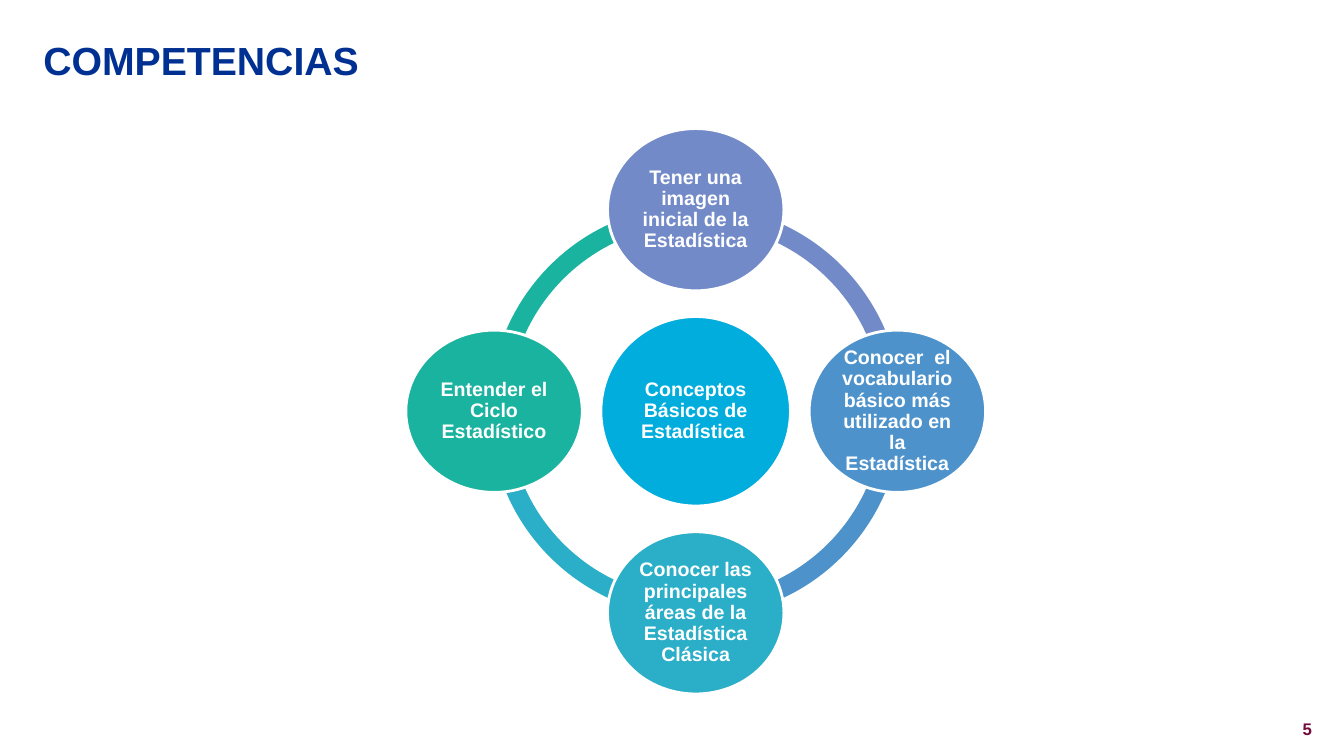
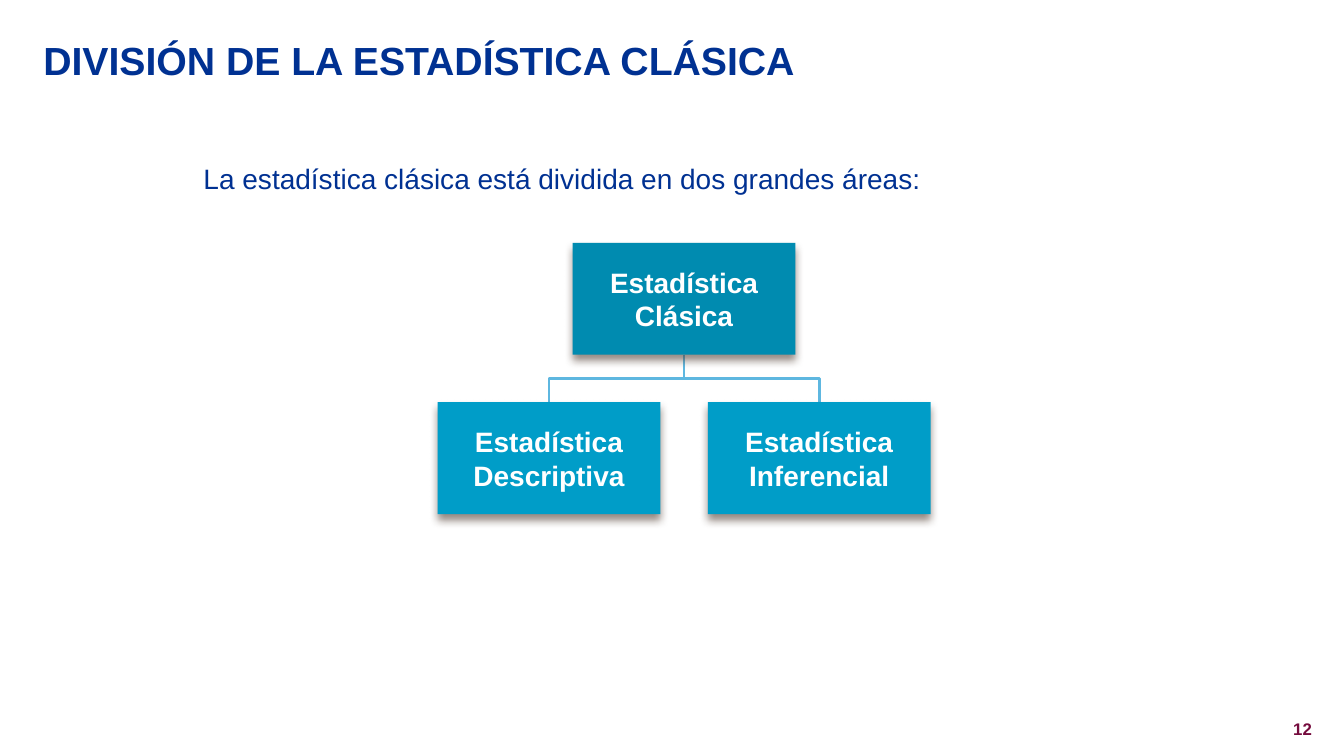
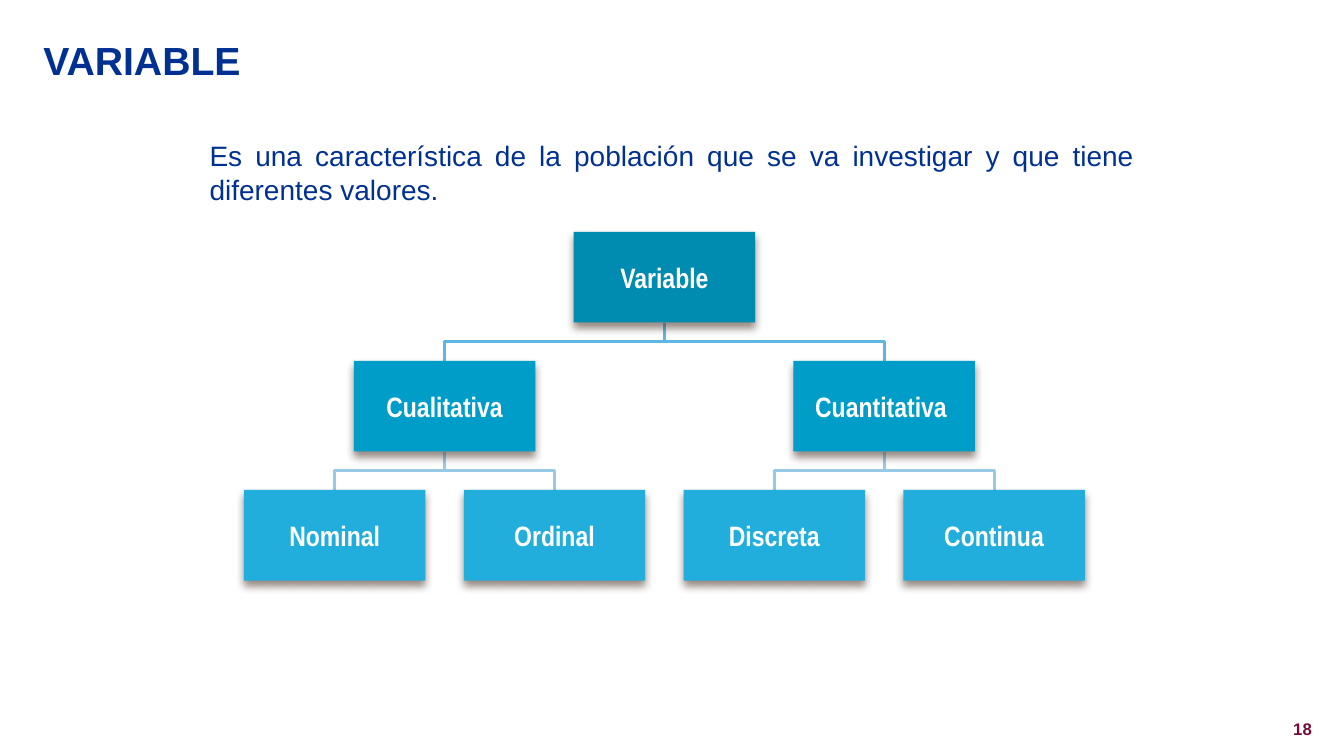
from pptx import Presentation
from pptx import util as u
from pptx.dml.color import RGBColor
from pptx.enum import shapes, text
from pptx.oxml import parse_xml
from pptx.oxml.ns import nsdecls

COLORS = {
    "title": "003192", "number": "750B3D", "white": "FFFFFF", "shadow": "4E3B30",
    "center": "00ADDC", "violet": "738AC8", "blue": "4D92CA",
    "cyan": "2BAEC7", "green": "1AB39F",
}
LEVEL_FILLS = ["008BB0", "009DC8", "22AEDC"]
LINK_COLORS = ["5EB7E0", "97CAE7"]
ALIGN = text.PP_ALIGN
TITLE_ONLY = 5


def rgb(color):
    return RGBColor.from_string(COLORS.get(color, color))


def inches(*lengths):
    return [u.Inches(length) for length in lengths]


# Text
def write(shape, words, size, color, bold=False, align=ALIGN.LEFT, font="Arial",
          anchor=text.MSO_ANCHOR.TOP, inset=None, line_spacing=None):
    frame = shape.text_frame
    frame.word_wrap = True
    frame.auto_size = text.MSO_AUTO_SIZE.NONE
    frame.vertical_anchor = anchor
    if inset is not None:
        frame.margin_left = frame.margin_right = u.Inches(inset)
        frame.margin_top = frame.margin_bottom = u.Inches(inset)
    paragraph = frame.paragraphs[0]
    paragraph.text = words
    paragraph.alignment = align
    if line_spacing:
        paragraph.line_spacing = line_spacing
    paragraph.font.name = font
    paragraph.font.size = u.Pt(size)
    paragraph.font.bold = bold
    paragraph.font.color.rgb = rgb(color)


def add_text(slide, box, words, size, color, **style):
    write(slide.shapes.add_textbox(*inches(*box)), words, size, color, **style)


def add_titled_slide(presentation, title, number):
    slide = presentation.slides.add_slide(presentation.slide_layouts[TITLE_ONLY])
    placeholder = slide.shapes.title
    placeholder.left, placeholder.top, placeholder.width, placeholder.height = inches(
        0.33, 0.13, 12.67, 0.92)
    write(placeholder, title, 28, "title", bold=True, anchor=text.MSO_ANCHOR.MIDDLE)
    add_text(slide, (12, 7.08, 1.11, 0.27), str(number), 12, "number",
             bold=True, align=ALIGN.RIGHT)
    return slide


# Shapes
def add_filled(slide, kind, center_x, center_y, width, height, fill, outline=None):
    shape = slide.shapes.add_shape(kind, *inches(
        center_x - width / 2, center_y - height / 2, width, height))
    shape.shadow.inherit = False
    shape.fill.solid()
    shape.fill.fore_color.rgb = rgb(fill)
    if outline:
        shape.line.color.rgb = rgb(outline)
        shape.line.width = u.Pt(2)
    else:
        shape.line.fill.background()
    return shape


def add_drop_shadow(shape):
    effects = shape._element.spPr.find(
        "{http://schemas.openxmlformats.org/drawingml/2006/main}effectLst")
    effects.append(parse_xml(
        f'<a:outerShdw {nsdecls("a")} blurRad="{u.Pt(6)}" dist="{u.Pt(4)}" '
        f'dir="5400000" rotWithShape="0"><a:srgbClr val="{COLORS["shadow"]}">'
        '<a:alpha val="60000"/></a:srgbClr></a:outerShdw>'))


# Ring of circles around a centre
def add_circle(slide, center_x, center_y, width, height, fill, words):
    circle = add_filled(slide, shapes.MSO_SHAPE.OVAL, center_x, center_y,
                        width, height, fill, "white")
    write(circle, words, 14, "white", bold=True, align=ALIGN.CENTER,
          anchor=text.MSO_ANCHOR.MIDDLE, inset=0.02, line_spacing=0.9)


def add_ring(slide, center_x, center_y, center_words, nodes):
    """Nodes run clockwise from the top; each is followed by its own arc."""
    radius, quarter, full_turn = 2, 54, 216
    for index, (color, _) in enumerate(nodes):
        arc = add_filled(slide, shapes.MSO_SHAPE.BLOCK_ARC, center_x, center_y,
                         4.09, 4.09, color)
        start = (index + 3) * quarter % full_turn
        arc.adjustments[0] = start
        arc.adjustments[1] = (start + quarter) % full_turn
        arc.adjustments[2] = 0.046
    add_circle(slide, center_x, center_y, 1.88, 1.88, "center", center_words)
    directions = [(0, -1), (1, 0), (0, 1), (-1, 0)]
    for (across, down), (color, words) in zip(directions, nodes):
        add_circle(slide, center_x + radius * across, center_y + radius * down,
                   1.75, 1.61, color, words)


# Tree of boxes; a node is (label, children)
def count_leaves(node):
    return sum(map(count_leaves, node[1])) or 1


def add_link(slide, start_x, start_y, end_x, end_y, color):
    middle_y = (start_y + end_y) / 2
    builder = slide.shapes.build_freeform(*inches(start_x, start_y))
    corners = [(start_x, middle_y), (end_x, middle_y), (end_x, end_y)]
    builder.add_line_segments([inches(*corner) for corner in corners], close=False)
    link = builder.convert_to_shape()
    link.shadow.inherit = False
    link.fill.background()
    link.line.color.rgb = rgb(color)
    link.line.width = u.Pt(2)


def add_tree(slide, node, left, top, width, height, gap, font="Arial", level=0):
    """Draw a node centred over its leaves and return its centre."""
    label, children = node
    pitch = width + gap
    center_x = left + (count_leaves(node) * pitch - gap) / 2
    child_top = top + height + gap
    child_left = left
    for child in children:
        child_span = count_leaves(child) * pitch
        add_link(slide, center_x, top + height, child_left + (child_span - gap) / 2,
                 child_top, LINK_COLORS[level])
        add_tree(slide, child, child_left, child_top, width, height, gap, font, level + 1)
        child_left += child_span
    box = add_filled(slide, shapes.MSO_SHAPE.RECTANGLE, center_x, top + height / 2,
                     width, height, LEVEL_FILLS[level])
    add_drop_shadow(box)
    write(box, label, 20, "white", bold=True, align=ALIGN.CENTER, font=font,
          anchor=text.MSO_ANCHOR.MIDDLE, inset=0.01)


# Slides
def add_competences(presentation):
    slide = add_titled_slide(presentation, "COMPETENCIAS", 5)
    add_ring(slide, 6.9, 4.08, "Conceptos Básicos de Estadística ", [
        ("violet", "Tener una imagen inicial de la Estadística"),
        ("blue", "Conocer  el vocabulario básico más utilizado en la Estadística"),
        ("cyan", "Conocer las principales áreas de la Estadística Clásica"),
        ("green", "Entender el Ciclo Estadístico"),
    ])


def add_division(presentation):
    slide = add_titled_slide(presentation, "DIVISIÓN DE LA ESTADÍSTICA CLÁSICA", 12)
    add_text(slide, (1.92, 1.55, 9.5, 0.47),
             "La estadística clásica está dividida en dos grandes áreas:", 20, "title")
    areas = ("Estadística Clásica", [
        ("Estadística Descriptiva", []), ("Estadística Inferencial", [])])
    add_tree(slide, areas, 4.34, 2.41, 2.21, 1.11, 0.47)


def add_variable(presentation):
    slide = add_titled_slide(presentation, "VARIABLE", 18)
    add_text(slide, (1.98, 1.33, 9.37, 0.77),
             "Es una característica de la población que se va investigar y que tiene "
             "diferentes valores.", 20, "title", align=ALIGN.JUSTIFY)
    types = ("Variable", [
        ("Cualitativa", [("Nominal", []), ("Ordinal", [])]),
        ("Cuantitativa ", [("Discreta", []), ("Continua", [])])])
    add_tree(slide, types, 2.42, 2.3, 1.8, 0.9, 0.38, font="Arial Narrow")


def main():
    presentation = Presentation()
    presentation.slide_width, presentation.slide_height = inches(13.33, 7.5)
    add_competences(presentation)
    add_division(presentation)
    add_variable(presentation)
    presentation.save("out.pptx")


if __name__ == "__main__":
    main()
